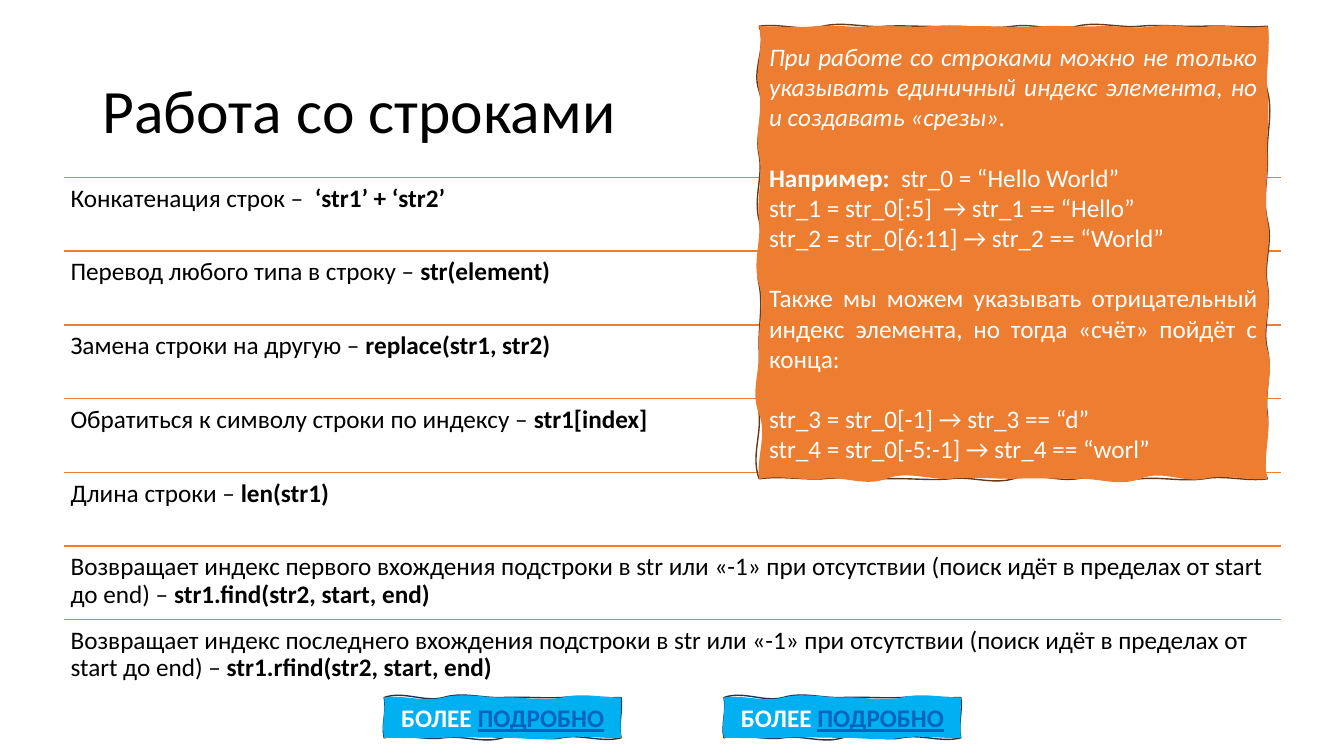
from dataclasses import dataclass

from lxml.etree import SubElement
from pptx import Presentation
from pptx.dml.color import RGBColor
from pptx.enum.shapes import MSO_CONNECTOR as Connector
from pptx.enum.text import MSO_ANCHOR as Anchor, PP_ALIGN as Align
from pptx.oxml.ns import qn
from pptx.util import Inches, Pt


@dataclass(frozen=True)
class Theme:
    font: str = "Calibri"
    title_size: int = 44
    body_size: int = 18
    blank_line: float = 21.5
    ink: str = "000000"
    paper: str = "FFFFFF"
    accent: str = "ED7D31"
    accent_edge: str = "683715"
    button: str = "00B0F0"
    button_edge: str = "1E3256"
    link: str = "0563C1"


@dataclass(frozen=True)
class Box:
    left: float
    top: float
    width: float
    height: float

    def emu(self):
        return [Inches(v) for v in (self.left, self.top, self.width, self.height)]


THEME = Theme()
SLIDE_W, SLIDE_H = 13.33, 7.5
OPERATIONS_AREA = Box(0.63, 1.76, 12.08, 5.12)
NOTE_AREA = Box(7.53, 0.26, 5.04, 4.49)
BUTTON_AREA = Box(3.81, 6.92, 2.35, 0.4)
BUTTON_STEP = 3.37

OPERATIONS = [
    ("Конкатенация строк –  ", "‘str1’ + ‘str2’"),
    ("Перевод любого типа в строку – ", "str(element)"),
    ("Замена строки на другую – ", "replace(str1, str2)"),
    ("Обратиться к символу строки по индексу – ", "str1[index]"),
    ("Длина строки – ", "len(str1)"),
    ("Возвращает индекс первого вхождения подстроки в str или «-1» при отсутствии "
     "(поиск идёт в пределах от start до end) – ", "str1.find(str2, start, end)"),
    ("Возвращает индекс последнего вхождения подстроки в str или «-1» при отсутствии "
     "(поиск идёт в пределах от start до end) – ", "str1.rfind(str2, start, end)"),
]

# Each block of the note is a list of paragraphs, each paragraph a list of (text, style).
NOTE_BLOCKS = [
    [[("При работе со строками можно не только указывать единичный индекс элемента, "
       "но и создавать «срезы». ", {"italic": True})]],
    [[("Например:  ", {"bold": True}), ("str_0 = “Hello World”", {})],
     [("str_1 = str_0[:5]  → str_1 == “Hello”", {})],
     [("str_2 = str_0[6:11] → str_2 == “World”", {})]],
    [[("Также мы можем указывать отрицательный индекс элемента, "
       "но тогда «счёт» пойдёт с конца:", {})]],
    [[("str_3 = str_0[-1] → str_3 == “d”", {})],
     [("str_4 = str_0[-5:-1] → str_4 == “worl”", {})]],
]

# Hand-drawn edges: bends in hundredths of an inch, two per curve,
# listed by side (top, right, bottom, left), walking clockwise.
NOTE_STROKE = (
    [(-3, 5), (-5, 2), (-1, 1), (0, 3), (-3, 6), (-5, 2), (-2, 1), (-1, 2)],
    [(2, -5), (6, -1), (1, -5), (6, -4), (4, -5), (5, -3), (3, -10)],
    [(3, -4), (3, -2), (2, -4), (3, -7), (6, -3), (2, -1), (0, -2), (1, -3)],
    [(-8, 2), (-3, 1), (-1, 4), (-5, 5), (-6, 4), (-5, 7), (-8, 8)],
)
NOTE_FILL = (
    [(0, 2), (-2, 2), (-1, 2), (-1, 0), (0, 2), (-1, 1), (-1, 3), (-3, 3), (-2, 4)],
    [(4, -2), (3, -1), (1, -4), (5, -4), (5, -6), (7, -3), (4, -5)],
    [(2, -5), (4, -9), (8, -1), (0, -1), (0, -2), (1, -8), (8, -3), (2, -4)],
    [(-3, 8), (-9, 1), (-2, 6), (-7, 2), (-3, 4), (-5, 4), (-5, 5)],
)
BUTTON_STROKE = (
    [(-7, 5), (-6, 1), (-1, 1), (-2, 1)], [(2, -3)],
    [(5, -4), (4, -6), (6, -3), (3, -5)], [(-3, 3)],
)
BUTTON_FILL = (
    [(-3, 5), (-5, 0), (-1, 4), (-5, 0)], [(0, -1)],
    [(1, -3), (3, 0), (0, -1), (1, 0)], [(-3, 2)],
)


def color(code):
    return RGBColor.from_string(code)


def add_run(paragraph, text, ink, size=THEME.body_size, **style):
    run = paragraph.add_run()
    run.text = text
    font = run.font
    font.name, font.size = THEME.font, Pt(size)
    font.color.rgb = color(ink)
    for name, value in style.items():
        setattr(font, name, value)


def add_text(slide, box, runs, anchor, side_inset, end_inset):
    """Add one paragraph made of (text, style) runs in a wrapping text box."""
    frame = slide.shapes.add_textbox(*box.emu()).text_frame
    frame.word_wrap = True
    frame.vertical_anchor = anchor
    frame.margin_left = frame.margin_right = Inches(side_inset)
    frame.margin_top = frame.margin_bottom = Inches(end_inset)
    paragraph = frame.paragraphs[0]
    paragraph.line_spacing = 0.9
    for text, style in runs:
        add_run(paragraph, text, THEME.ink, **style)


def add_rule(slide, left, right, y):
    rule = slide.shapes.add_connector(
        Connector.STRAIGHT, Inches(left), Inches(y), Inches(right), Inches(y))
    rule.line.color.rgb = color(THEME.accent)
    rule.line.width = Pt(1)
    SubElement(rule._element.spPr, qn("a:effectLst"))


def add_point(parent, x, y):
    SubElement(parent, qn("a:pt"), x=str(Inches(x)), y=str(Inches(y)))


def add_wavy_contour(contours, box, sides, **paint):
    """Draw a closed rectangle whose sides bend as listed, in the box's own coordinates."""
    width, height = box.width, box.height
    contour = SubElement(contours, qn("a:path"),
                         w=str(Inches(width)), h=str(Inches(height)), **paint)
    corners = [(0, 0), (width, 0), (width, height), (0, height)]
    add_point(SubElement(contour, qn("a:moveTo")), 0, 0)
    for side, bends in enumerate(sides):
        (x0, y0), (x1, y1) = corners[side], corners[(side + 1) % 4]
        for index, (first, second) in enumerate(bends):
            curve = SubElement(contour, qn("a:cubicBezTo"))
            for third, bend in enumerate((first, second, 0), start=1):
                along = (index + third / 3) / len(bends)
                dx, dy = (bend / 100, 0) if side % 2 else (0, bend / 100)
                add_point(curve, x0 + (x1 - x0) * along + dx, y0 + (y1 - y0) * along + dy)
    SubElement(contour, qn("a:close"))


def add_sketch(slide, box, stroke_sides, fill_sides, fill, edge):
    """Add a hand-drawn panel, its stroke apart from its fill, and return its text frame."""
    left, top, width, height = box.emu()
    builder = slide.shapes.build_freeform(left, top)
    builder.add_line_segments(
        [(left + width, top), (left + width, top + height), (left, top + height)])
    panel = builder.convert_to_shape()
    contours = next(panel._element.iter(qn("a:pathLst")))
    del contours[:]
    add_wavy_contour(contours, box, stroke_sides, fill="none")
    add_wavy_contour(contours, box, fill_sides, stroke="0")
    panel.shadow.inherit = False
    panel.fill.solid()
    panel.fill.fore_color.rgb = color(fill)
    panel.line.color.rgb = color(edge)
    panel.line.width = Pt(1)
    frame = panel.text_frame
    frame.word_wrap = True
    frame.vertical_anchor = Anchor.MIDDLE
    return frame


def add_operations(slide, area):
    row = area.height / len(OPERATIONS)
    for index, (meaning, code) in enumerate(OPERATIONS):
        y = area.top + index * row
        add_rule(slide, area.left, area.left + area.width, y)
        add_text(slide, Box(area.left, y, area.width, row),
                 [(meaning, {}), (code, {"bold": True})], Anchor.TOP, 0.07, 0.08)


def add_button(slide, box):
    frame = add_sketch(slide, box, BUTTON_STROKE, BUTTON_FILL, THEME.button, THEME.button_edge)
    label = frame.paragraphs[0]
    label.alignment = Align.CENTER
    add_run(label, "БОЛЕЕ ", THEME.paper, bold=True)
    add_run(label, "ПОДРОБНО", THEME.link, bold=True, underline=True)


def add_note(slide, box):
    frame = add_sketch(slide, box, NOTE_STROKE, NOTE_FILL, THEME.accent, THEME.accent_edge)
    for block_index, block in enumerate(NOTE_BLOCKS):
        for line_index, runs in enumerate(block):
            first = block_index == line_index == 0
            paragraph = frame.paragraphs[0] if first else frame.add_paragraph()
            paragraph.alignment = Align.JUSTIFY
            if line_index == 0 and not first:
                paragraph.space_before = Pt(THEME.blank_line)
            for text, style in runs:
                add_run(paragraph, text, THEME.paper, **style)


def main():
    deck = Presentation()
    deck.slide_width, deck.slide_height = Inches(SLIDE_W), Inches(SLIDE_H)
    slide = deck.slides.add_slide(deck.slide_layouts[6])
    add_text(slide, Box(0.92, 0.4, 11.5, 1.45),
             [("Работа со строками", {"size": THEME.title_size})], Anchor.MIDDLE, 0.1, 0.05)
    add_operations(slide, OPERATIONS_AREA)
    for column in range(2):
        add_button(slide, Box(BUTTON_AREA.left + column * BUTTON_STEP, BUTTON_AREA.top,
                              BUTTON_AREA.width, BUTTON_AREA.height))
    add_note(slide, NOTE_AREA)
    deck.save("out.pptx")


if __name__ == "__main__":
    main()
